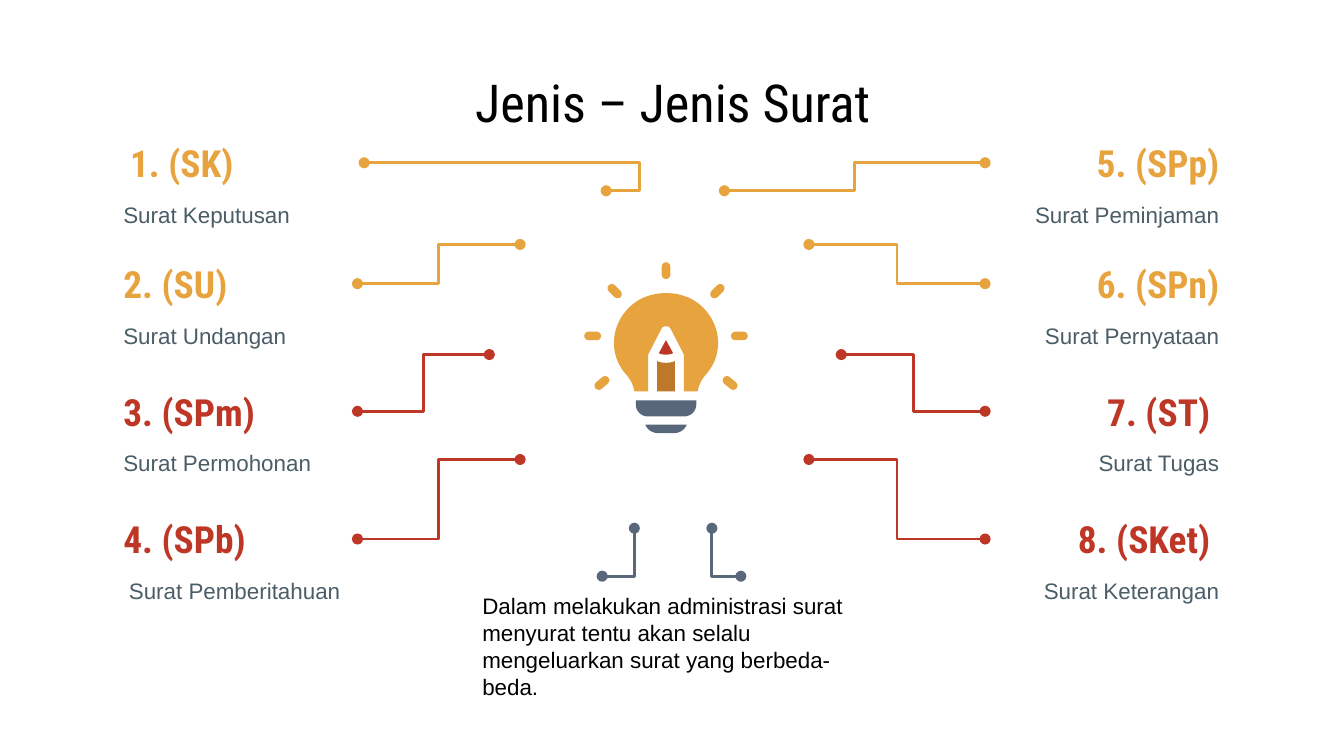
import pptx
import pptx.dml.color
import pptx.enum.shapes
import pptx.enum.text
import pptx.oxml
import pptx.oxml.ns
import pptx.util

Pt = pptx.util.Pt
ALIGN = pptx.enum.text.PP_ALIGN
ANCHOR = pptx.enum.text.MSO_ANCHOR
GOLD, RED, SLATE, BROWN = "E7A33E", "BE3626", "58687A", "BD782A"
GREY, BLACK = "4B5D67", "000000"
HEADING = {"name": "Roboto Condensed", "size": Pt(20), "bold": True}
BODY = {"name": "Arial", "size": Pt(12), "bold": False}
TITLE = {"name": "Roboto Condensed", "size": Pt(28), "bold": False}

BULB_AXIS = 356.8
ROW_TOPS = (77.8, 142.6, 211, 279.4)
ROW_COLOURS = (GOLD, GOLD, RED, RED)
LINE_END_TOPS = (102.2, 131, 190, 246.2)
LEFT_X, RIGHT_X, COLUMN_WIDTH = 59, 527.8, 132.5

# Each entry: code, meaning, inner line end, code shift, meaning shift
LEFT_LETTERS = (
    ("1. (SK)", "Surat Keputusan", 324.7, 3.6, 0),
    ("2. (SU)", "Surat Undangan", 278.6, 0, 0),
    ("3. (SPm)", "Surat Permohonan", 262.1, 0, 0),
    ("4. (SPb)", "Surat Pemberitahuan", 278.6, 0, 3),
)
RIGHT_LETTERS = (
    ("5. (SPp)", "Surat Peminjaman", 388.1, 0, 0),
    ("6. (SPn)", "Surat Pernyataan", 433.4, 0, 0),
    ("7. (ST)", "Surat Tugas", 450.7, -4.8, 0),
    ("8. (SKet)", "Surat Keterangan", 433.4, -4.8, 0),
)

# Right halves of the bulb parts: two numbers are a corner, six are a curve
BULB_PARTS = (
    (GOLD, ((0, 157), (6.5, 157, 13, 159, 17.6, 162.8),
            (24, 168, 27.9, 175.5, 27.9, 183.6),
            (27.9, 190, 25.6, 196, 21.2, 200.8),
            (19, 203.3, 17.5, 206.4, 16.9, 209.7),
            (9.6, 209.7), (9.6, 190), (2.6, 176.4),
            (2, 175, 1, 174.8, 0, 174.8))),
    (BROWN, ((0, 194.4), (1.7, 194.4, 3.2, 194.2, 4.7, 193.5),
             (4.7, 209.7), (0, 209.7))),
    (RED, ((0, 182.2), (3.8, 189.2), (2.6, 189.8, 1.3, 190, 0, 190))),
    (SLATE, ((0, 214.5), (16.2, 214.5), (16.2, 216.7),
             (16.2, 220.3, 13.3, 223.1, 9.7, 223.1), (0, 223.1))),
    (SLATE, ((0, 227.5), (11.1, 227.5),
             (10, 230.3, 7.3, 232, 4.4, 232), (0, 232))),
)
# Centre offset from the axis, centre height, rotation
RAYS = ((0, 145, 90), (-39.3, 180, 0), (39.3, 180, 0),
        (-27.5, 156, 45), (27.5, 156, -45),
        (-34.3, 205.2, -40), (34.3, 205.2, 40))


def rgb(colour):
    """Turn a hex string into a colour value."""
    return pptx.dml.color.RGBColor.from_string(colour)


def fill_plain(shape, colour):
    """Give a shape a solid fill without line or shadow."""
    shape.fill.solid()
    shape.fill.fore_color.rgb = rgb(colour)
    shape.line.fill.background()
    shape.shadow.inherit = False


def add_text(slide, wording, box, style, colour, align=ALIGN.LEFT, anchor=ANCHOR.MIDDLE):
    """Add a wrapped one-paragraph text box."""
    frame = slide.shapes.add_textbox(*map(Pt, box)).text_frame
    layout = {"word_wrap": True, "vertical_anchor": anchor}
    layout.update({f"margin_{side}": Pt(7.2) for side in ("left", "top", "right", "bottom")})
    for name, value in layout.items():
        setattr(frame, name, value)
    paragraph = frame.paragraphs[0]
    paragraph.alignment = align
    run = paragraph.add_run()
    run.text = wording
    for name, value in style.items():
        setattr(run.font, name, value)
    run.font.color.rgb = rgb(colour)


def add_bent_line(slide, start, end, colour, preset="bentConnector3", bend=None):
    """Add an elbow connector with a dot at both ends."""
    connector = slide.shapes.add_connector(
        pptx.enum.shapes.MSO_CONNECTOR.ELBOW, *map(Pt, start + end))
    connector.line.color.rgb = rgb(colour)
    connector.line.width = Pt(1.5)
    qn, make = pptx.oxml.ns.qn, pptx.oxml.parse_xml
    namespace = pptx.oxml.ns.nsdecls("a")
    properties = connector._element.spPr
    outline = properties.find(qn("a:ln"))
    for tag in ("headEnd", "tailEnd"):
        outline.append(make(f'<a:{tag} {namespace} type="oval"/>'))
    properties.append(make(f"<a:effectLst {namespace}/>"))
    geometry = properties.find(qn("a:prstGeom"))
    geometry.set("prst", preset)
    if bend is not None:
        geometry.find(qn("a:avLst")).append(
            make(f'<a:gd {namespace} name="adj1" fmla="val {bend}"/>'))


def trace(half, steps=10):
    """Turn corners and cubic curves into a list of points."""
    points = [half[0]]
    for part in half[1:]:
        if len(part) == 2:
            points.append(part)
            continue
        controls = (points[-1], part[:2], part[2:4], part[4:])
        for step in range(1, steps + 1):
            t = step / steps
            weights = ((1 - t) ** 3, 3 * t * (1 - t) ** 2, 3 * t * t * (1 - t), t ** 3)
            points.append(tuple(
                sum(w * c[axis] for w, c in zip(weights, controls)) for axis in (0, 1)))
    return points


def add_bulb_part(slide, colour, half):
    """Draw a half outline together with its mirror image."""
    right = trace(half)
    outline = right + [(-x, y) for x, y in reversed(right[1:-1])]
    points = [(Pt(BULB_AXIS + x), Pt(y)) for x, y in outline]
    builder = slide.shapes.build_freeform(*points[0])
    builder.add_line_segments(points[1:], close=True)
    fill_plain(builder.convert_to_shape(), colour)


def add_ray(slide, offset, middle, rotation):
    """Add one rounded light ray around the bulb."""
    length, thickness = 9, 4.6
    ray = slide.shapes.add_shape(
        pptx.enum.shapes.MSO_SHAPE.ROUNDED_RECTANGLE,
        Pt(BULB_AXIS + offset - length / 2), Pt(middle - thickness / 2),
        Pt(length), Pt(thickness))
    ray.adjustments[0] = 0.5
    ray.rotation = rotation
    fill_plain(ray, GOLD)


def add_letters(slide, letters, column_x, line_x, align):
    """Add one column of letter types with their lines."""
    for row, (code, meaning, line_end, code_shift, meaning_shift) in enumerate(letters):
        top, colour = ROW_TOPS[row], ROW_COLOURS[row]
        add_text(slide, code, (column_x + code_shift, top, COLUMN_WIDTH, 18.7),
                 HEADING, colour, align)
        add_text(slide, meaning, (column_x + meaning_shift, top + 20.5, COLUMN_WIDTH, 32.8),
                 BODY, GREY, align)
        overshoots = align == ALIGN.LEFT and row == 0
        line_start = line_x + max(code_shift, 0)
        add_bent_line(slide, (line_start, top + 9.4), (line_end, LINE_END_TOPS[row]),
                      colour, bend=113900 if overshoots else None)


def main():
    """Build the slide about letter types."""
    deck = pptx.Presentation()
    deck.slide_width, deck.slide_height = Pt(720), Pt(405)
    slide = deck.slides.add_slide(deck.slide_layouts[6])
    add_text(slide, "Jenis – Jenis Surat", (56.9, 30.2, 607, 45.4), TITLE, BLACK,
             ALIGN.CENTER, ANCHOR.TOP)
    for colour, half in BULB_PARTS:
        add_bulb_part(slide, colour, half)
    for ray in RAYS:
        add_ray(slide, *ray)
    add_letters(slide, LEFT_LETTERS, LEFT_X, LEFT_X + COLUMN_WIDTH, ALIGN.LEFT)
    add_letters(slide, RIGHT_LETTERS, RIGHT_X, RIGHT_X, ALIGN.RIGHT)
    for outer, inner in ((322.6, 339.8), (396.9, 381.4)):
        add_bent_line(slide, (outer, 308.7), (inner, 283), SLATE, "bentConnector2")
    add_text(slide, "Dalam melakukan administrasi surat menyurat tentu akan selalu "
             "mengeluarkan surat yang berbeda-beda.", (251.3, 310.3, 227.5, 71.3), BODY, BLACK)
    deck.save("out.pptx")


if __name__ == "__main__":
    main()
